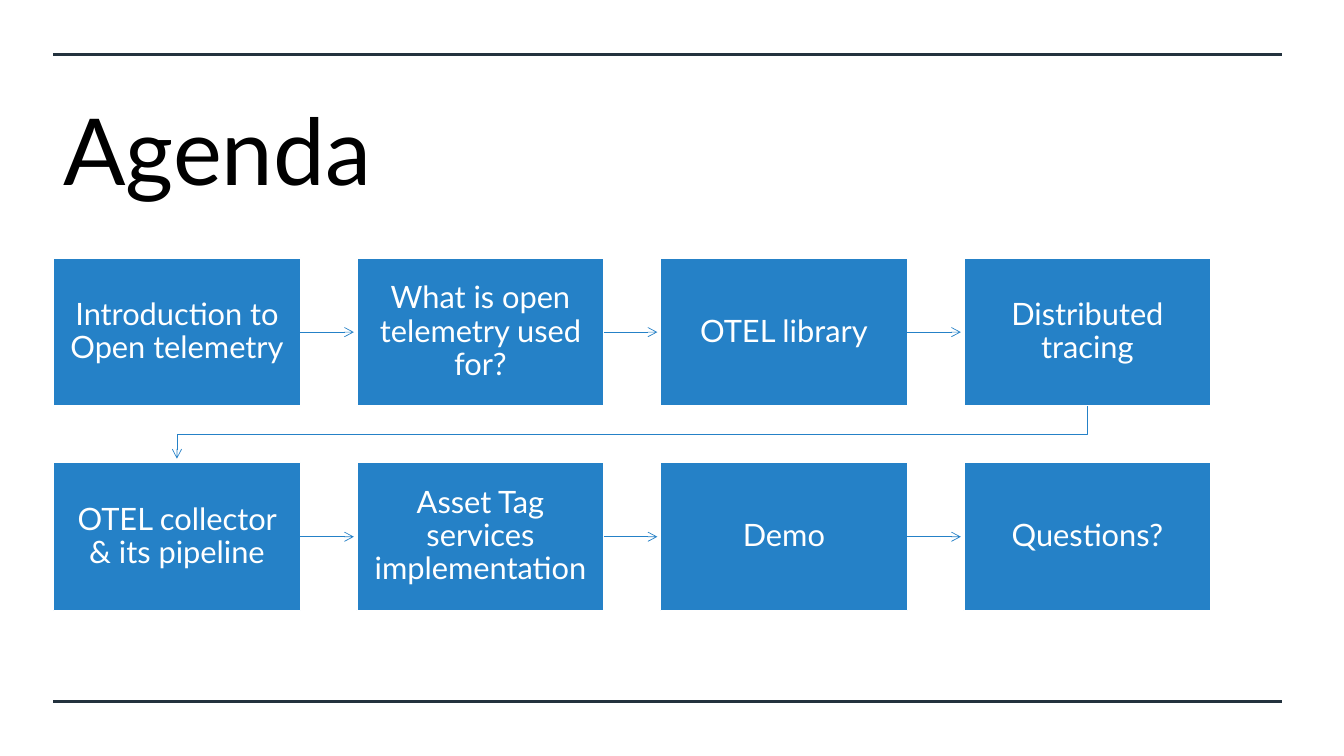
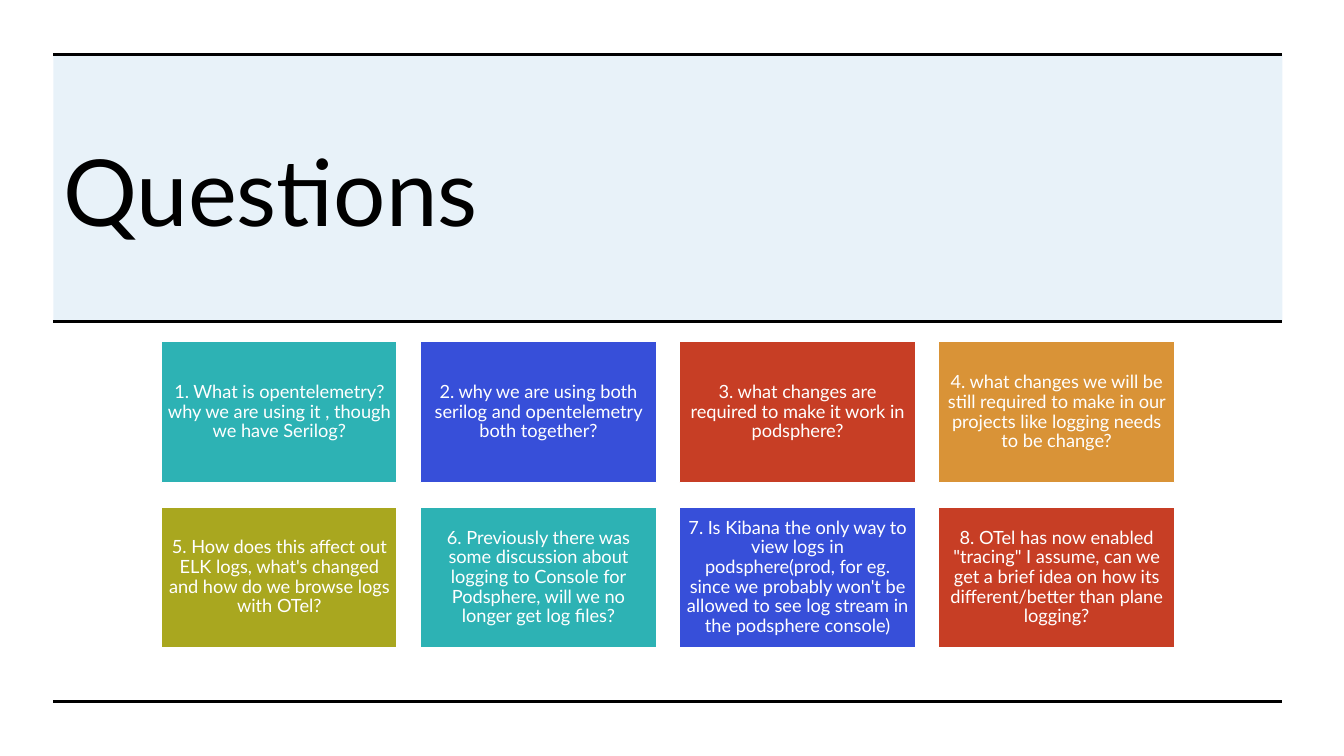
from pptx import Presentation
from pptx.dml.color import RGBColor
from pptx.enum.shapes import MSO_CONNECTOR as Link, MSO_SHAPE as Form
from pptx.enum.text import MSO_ANCHOR as Anchor, PP_ALIGN as Align
from pptx.oxml.ns import qn
from pptx.util import Inches as In, Pt
from lxml.etree import SubElement as Sub

hue = RGBColor.from_string
WHITE, BLACK, NAVY, BLUE = "FFFFFF", "000000", "23323E", "2581C7"
TEAL, ROYAL, RED, AMBER, OLIVE = "2DB2B4", "374FD9", "C73E25", "D99337", "A9A71F"
COLS = 4
LEFT, RIGHT = 0.53, 12.72


def write(box, text, size, shade, align):
    frame = box.text_frame
    frame.word_wrap = True
    frame.vertical_anchor = Anchor.MIDDLE
    frame.text = text
    para = frame.paragraphs[0]
    para.alignment = align
    para.font.name, para.font.size = "Lato", Pt(size)
    para.font.color.rgb = hue(shade)
    return frame, para


def stroke(shape, shade, width, head=False):
    shape.line.color.rgb = hue(shade)
    shape.line.width = Pt(width)
    props = shape.element.spPr
    if head:
        Sub(props.find(qn("a:ln")), qn("a:tailEnd"), type="arrow")
    Sub(props, qn("a:effectLst"))


topics = [
    "Introduction to Open telemetry",
    "What is open telemetry used for?",
    "OTEL library",
    "Distributed tracing",
    "OTEL collector & its pipeline",
    "Asset Tag services implementation",
    "Demo",
    "Questions?",
]
asks = [
    "1. What is opentelemetry? why we are using it , though we have Serilog?",
    "2. why we are using both serilog and opentelemetry both together?",
    "3. what changes are required to make it work in podsphere?",
    "4. what changes we will be still required to make in our projects like logging needs to be change?",
    "5. How does this affect out ELK logs, what's changed and how do we browse logs with OTel?",
    "6. Previously there was some discussion about logging to Console for Podsphere, will we no longer get log files?",
    "7. Is Kibana the only way to view logs in podsphere(prod, for eg. since we probably won't be allowed to see log stream in the podsphere console)",
    "8. OTel has now enabled \"tracing\" I assume, can we get a brief idea on how its different/better than plane logging?",
]
plans = [
    dict(title="Agenda", span=(11.63, 0.8), ink=NAVY, rules=[0.54, 6.96], band=None,
         start=(LEFT, 2.56), step=(3.01, 2.03), size=(2.45, 1.47),
         font=22, inset=(0.12, 0.13), fills=[BLUE], cells=topics, flow=True),
    dict(title="Questions", span=(11.33, 1.63), ink=BLACK, rules=[0.54, 3.19, 6.96], band=2.65,
         start=(1.6, 3.39), step=(2.57, 1.64), size=(2.34, 1.4),
         font=13, inset=(0.05, 0.05), fills=[TEAL, ROYAL, RED, AMBER, OLIVE], cells=asks, flow=False),
]

deck = Presentation()
deck.slide_width, deck.slide_height = In(13.33), In(7.5)

for plan in plans:
    shapes = deck.slides.add_slide(deck.slide_layouts[6]).shapes
    if plan["band"]:
        band = shapes.add_shape(Form.RECTANGLE, In(LEFT), In(0.54), In(RIGHT - LEFT), In(plan["band"]))
        band.shadow.inherit = False
        band.fill.solid()
        band.fill.fore_color.rgb = hue(BLUE)
        band.line.fill.background()
        Sub(band.element.spPr.find(qn("a:solidFill"))[0], qn("a:alpha"), val="10000")
    wide, high = plan["span"]
    title = shapes.add_textbox(In(LEFT), In(1.07), In(wide), In(high))
    write(title, plan["title"], 66, BLACK, Align.LEFT)
    for y in plan["rules"]:
        rule = shapes.add_connector(Link.STRAIGHT, In(LEFT), In(y), In(RIGHT), In(y))
        stroke(rule, plan["ink"], 2.25)

    (left, top), (dx, dy), (wide, high) = plan["start"], plan["step"], plan["size"]
    for i, text in enumerate(plan["cells"]):
        row, col = divmod(i, COLS)
        x, y = left + col * dx, top + row * dy
        box = shapes.add_shape(Form.RECTANGLE, In(x), In(y), In(wide), In(high))
        box.fill.solid()
        box.fill.fore_color.rgb = hue(plan["fills"][i % len(plan["fills"])])
        stroke(box, WHITE, 1)
        frame, para = write(box, text, plan["font"], WHITE, Align.CENTER)
        para.line_spacing = 0.9
        side, edge = plan["inset"]
        frame.margin_left = frame.margin_right = In(side)
        frame.margin_top = frame.margin_bottom = In(edge)
        if plan["flow"] and col < COLS - 1:
            mid = In(y + high / 2)
            arrow = shapes.add_connector(Link.STRAIGHT, In(x + wide), mid, In(x + dx - 0.03), mid)
            arrow.begin_connect(box, 3)
            stroke(arrow, BLUE, 0.5, True)

    if plan["flow"]:
        home = left + wide / 2
        far = home + (COLS - 1) * dx
        base, next_top = top + high, top + dy
        turn = (base + next_top) / 2
        path = shapes.build_freeform(In(far), In(base))
        path.add_line_segments(
            [(In(far), In(turn)), (In(home), In(turn)), (In(home), In(next_top - 0.04))], close=False)
        bend = path.convert_to_shape()
        bend.fill.background()
        stroke(bend, BLUE, 0.5, True)

deck.save("out.pptx")
